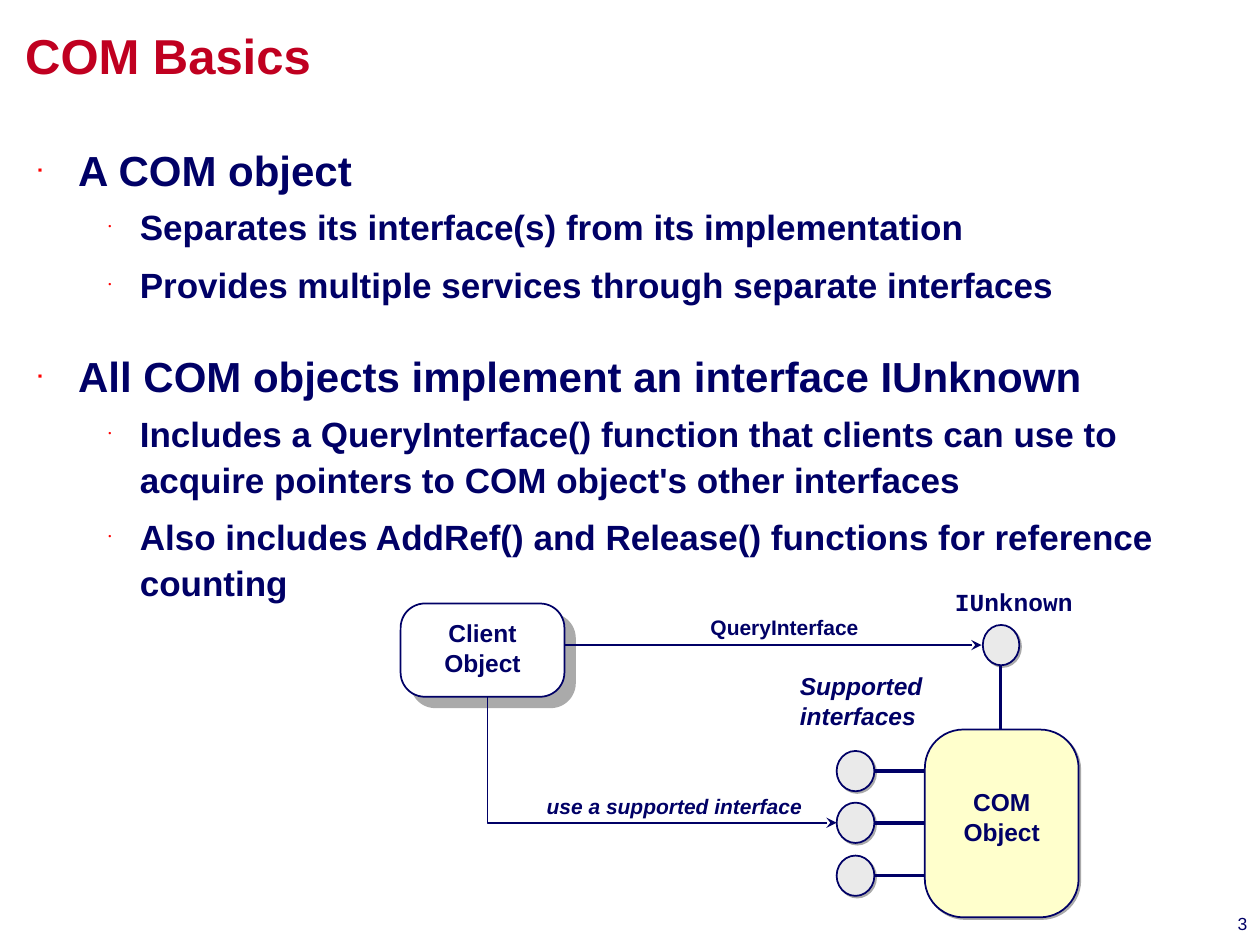
from lxml.etree import SubElement
from pptx import Presentation
from pptx.dml.color import RGBColor
from pptx.enum.shapes import MSO_CONNECTOR, MSO_SHAPE
from pptx.enum.text import MSO_ANCHOR, MSO_AUTO_SIZE, PP_ALIGN
from pptx.oxml.ns import qn
from pptx.util import Pt

PX = 9144
NAVY = RGBColor(0x00, 0x00, 0x66)
CRIMSON = RGBColor(0xC0, 0x00, 0x20)
BULLET_RED = RGBColor(0xFF, 0x00, 0x00)
WHITE = RGBColor(0xFF, 0xFF, 0xFF)
CREAM = RGBColor(0xFF, 0xFF, 0xCC)
PALE_GRAY = RGBColor(0xEA, 0xEA, 0xEA)
SHADOW_GRAY = RGBColor(0xAA, 0xAA, 0xAA)

BASICS = [
    (0, "A COM object"),
    (1, "Separates its interface(s) from its implementation"),
    (1, "Provides multiple services through separate interfaces"),
    (0, "All COM objects implement an interface IUnknown"),
    (1, "Includes a QueryInterface() function that clients can use to "
        "acquire pointers to COM object's other interfaces"),
    (1, "Also includes AddRef() and Release() functions for reference counting"),
]
LEVELS = [
    dict(size=24, indent=32, hanging=32, spacing=1.2, before=18, after=0,
         bullet="▪", bullet_size=30),
    dict(size=20, indent=81, hanging=25, spacing=1.1, before=3.7, after=2.5,
         bullet="•", bullet_size=25),
]


def emu(*lengths):
    return [length * PX for length in lengths]


def write(paragraph, text, size=14, color=NAVY, font="Arial", bold=True,
          italic=False, align=PP_ALIGN.LEFT):
    paragraph.alignment = align
    run = paragraph.add_run()
    run.text = text
    run.font.size = Pt(size)
    run.font.name = font
    run.font.bold = bold
    run.font.italic = italic
    run.font.color.rgb = color


def set_frame(frame, insets=(10, 5, 10, 5), wrap=True):
    frame.word_wrap = wrap
    frame.auto_size = MSO_AUTO_SIZE.NONE
    frame.vertical_anchor = MSO_ANCHOR.TOP
    (frame.margin_left, frame.margin_top,
     frame.margin_right, frame.margin_bottom) = emu(*insets)


def place(placeholder, box):
    (placeholder.left, placeholder.top,
     placeholder.width, placeholder.height) = emu(*box)


def add_label(slide, box, *lines, insets=(10, 5, 10, 5), wrap=True, **style):
    frame = slide.shapes.add_textbox(*emu(*box)).text_frame
    set_frame(frame, insets, wrap)
    for index, line in enumerate(lines):
        paragraph = frame.add_paragraph() if index else frame.paragraphs[0]
        write(paragraph, line, **style)


def add_node(slide, preset, box, fill, shadow=1.4, corner=None):
    node = slide.shapes.add_shape(preset, *emu(*box))
    if corner is not None:
        node.adjustments[0] = corner
    node.fill.solid()
    node.fill.fore_color.rgb = fill
    node.line.color.rgb = NAVY
    node.line.width = Pt(1)
    node.shadow.inherit = False
    effects = node._element.spPr.find(qn("a:effectLst"))
    outer = SubElement(effects, qn("a:outerShdw"), blurRad="0",
                       dist=str(int(Pt(shadow))), dir=str(45 * 60000),
                       algn="tl", rotWithShape="0")
    SubElement(outer, qn("a:srgbClr"), val=str(SHADOW_GRAY))


def style_line(line, width, arrow):
    line.color.rgb = NAVY
    line.width = Pt(width)
    if arrow:
        SubElement(line._get_or_add_ln(), qn("a:tailEnd"), type="stealth")


def add_line(slide, start, end, width=2, arrow=False):
    connector = slide.shapes.add_connector(
        MSO_CONNECTOR.STRAIGHT, *emu(*start, *end))
    style_line(connector.line, width, arrow)
    SubElement(connector._element.spPr, qn("a:effectLst"))


def add_bent_arrow(slide, start, corner, end):
    builder = slide.shapes.build_freeform(*start, scale=PX)
    builder.add_line_segments([corner, end], close=False)
    arrow = builder.convert_to_shape()
    arrow.fill.background()
    arrow.shadow.inherit = False
    style_line(arrow.line, 1, True)


def format_level(paragraph, level):
    rule = LEVELS[level]
    paragraph.level = level
    paragraph.line_spacing = rule["spacing"]
    paragraph.space_before = Pt(rule["before"])
    paragraph.space_after = Pt(rule["after"])
    props = paragraph._p.get_or_add_pPr()
    props.set("marL", str(rule["indent"] * PX))
    props.set("indent", str(-rule["hanging"] * PX))
    bullet_color = SubElement(props, qn("a:buClr"))
    SubElement(bullet_color, qn("a:srgbClr"), val=str(BULLET_RED))
    SubElement(props, qn("a:buSzPct"), val=str(rule["bullet_size"] * 1000))
    SubElement(props, qn("a:buFont"), typeface="Arial")
    SubElement(props, qn("a:buChar"), char=rule["bullet"])


def fill_title(slide, box):
    title = slide.shapes.title
    place(title, box)
    set_frame(title.text_frame, insets=(20, 20, 197, 14))
    write(title.text_frame.paragraphs[0], "COM Basics", size=28, color=CRIMSON)


def fill_body(slide, box):
    body = slide.placeholders[1]
    place(body, box)
    frame = body.text_frame
    set_frame(frame)
    for index, (level, text) in enumerate(BASICS):
        paragraph = frame.add_paragraph() if index else frame.paragraphs[0]
        format_level(paragraph, level)
        write(paragraph, text, size=LEVELS[level]["size"])
    frame.paragraphs[0].space_before = Pt(0)


def draw_com_object(slide, box):
    left, top, width, height = box
    for offset in (17, 58, 100):
        add_node(slide, MSO_SHAPE.OVAL, (left - 70, top + offset, 30, 32), PALE_GRAY)
        middle = top + offset + 16
        add_line(slide, (left + 7, middle), (left - 40, middle))
    add_node(slide, MSO_SHAPE.OVAL, (left + 46, top - 83, 29, 32), PALE_GRAY)
    add_line(slide, (left + 60, top), (left + 60, top - 51))
    add_node(slide, MSO_SHAPE.ROUNDED_RECTANGLE, box, CREAM, corner=0.25)
    add_label(slide, (left, top + 41, width, 57), "COM", "Object",
              align=PP_ALIGN.CENTER)
    add_label(slide, (left + 14, top - 118, 132, 33), "IUnknown",
              font="Courier New")
    add_label(slide, (left - 109, top - 51, 123, 57), "Supported interfaces",
              italic=True)


def draw_client(slide, box):
    left, top, width, height = box
    add_node(slide, MSO_SHAPE.ROUNDED_RECTANGLE, box, WHITE, shadow=8.5, corner=0.26)
    add_label(slide, (left, top + 7, width, 57), "Client", "Object",
              align=PP_ALIGN.CENTER)


def draw_calls(slide, box):
    left, top, width, height = box
    add_line(slide, (left + 61, top), (left + width, top), width=1, arrow=True)
    add_label(slide, (left + 167, top - 29, 138, 30), "QueryInterface",
              size=12, wrap=False)
    bottom = top + height
    add_bent_arrow(slide, (left, top + 41), (left, bottom), (left + 277, bottom))
    add_label(slide, (left + 37, bottom - 28, 223, 30),
              "use a supported interface", size=12, italic=True, wrap=False)


def main():
    deck = Presentation()
    deck.slide_width, deck.slide_height = emu(1000, 750)
    slide = deck.slides.add_slide(deck.slide_layouts[1])
    fill_title(slide, (0, 0, 1000, 100))
    fill_body(slide, (20, 102, 952, 633))
    draw_com_object(slide, (734, 579, 122, 149))
    draw_client(slide, (318, 479, 130, 74))
    draw_calls(slide, (387, 512, 392, 141))
    add_label(slide, (640, 720, 350, 17), "3", size=10, bold=False,
              align=PP_ALIGN.RIGHT, insets=(0, 5, 0, 5))
    deck.save("out.pptx")


if __name__ == "__main__":
    main()
